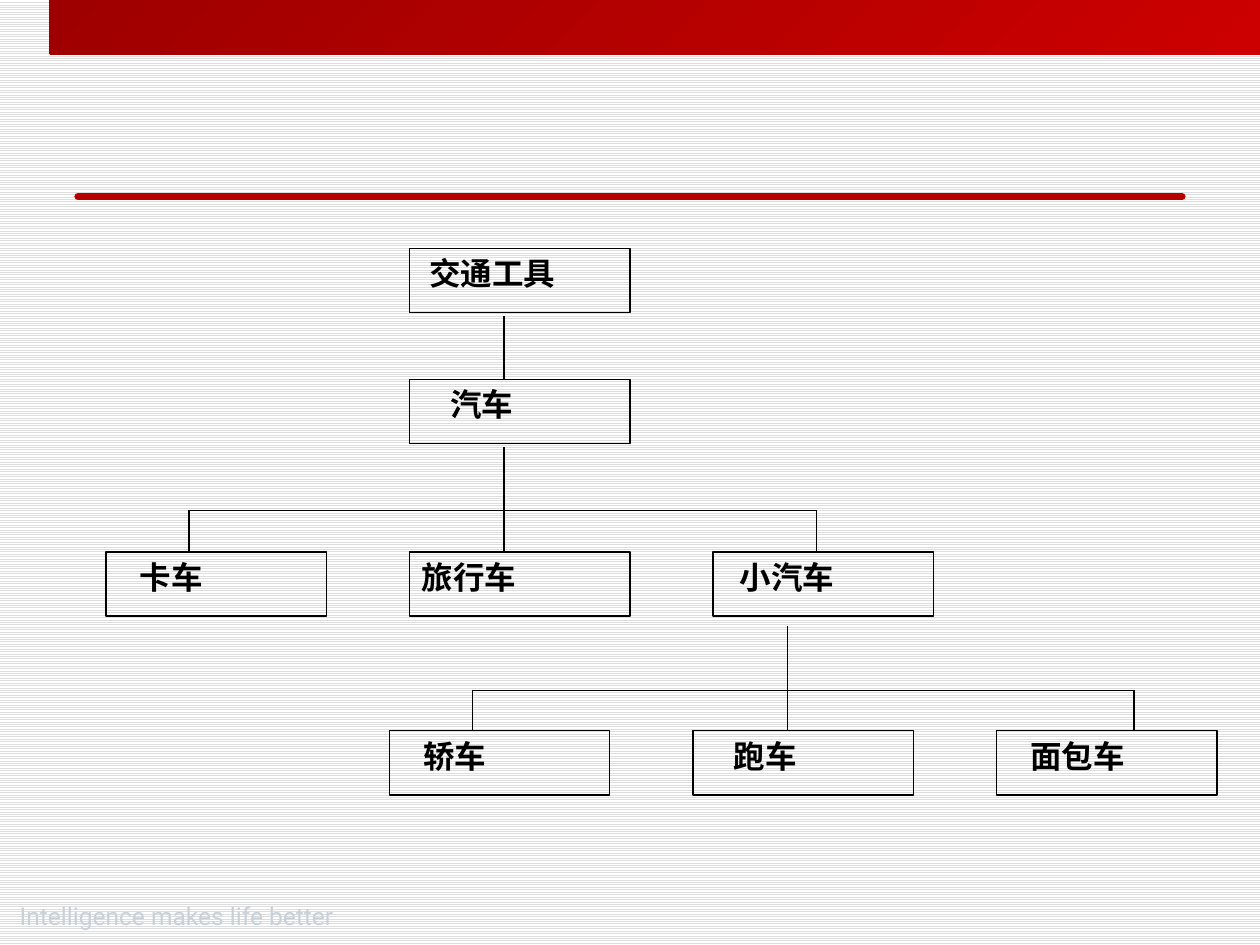
from pptx import Presentation
from pptx import util as u
from pptx.dml.color import RGBColor
from pptx.enum import dml, shapes, text
from pptx.oxml.ns import qn
from lxml import etree

BOX_W, BOX_H, COL_STEP = 1.75, 0.51, 2.41
FIRST_LEFT, SECOND_LEFT = 0.84, 3.09   # left edge of each three-box row
INSET, INDENT = 0.1, 0.056             # box margin, one indent step

# label, row start, column, top, indent steps
BOXES = [
    ("交通工具", FIRST_LEFT, 1, 1.97, 1),
    ("汽车", FIRST_LEFT, 1, 3.01, 4),
    ("卡车", FIRST_LEFT, 0, 4.38, 3),
    ("旅行车", FIRST_LEFT, 1, 4.38, 0),
    ("小汽车", FIRST_LEFT, 2, 4.38, 2),
    ("轿车", SECOND_LEFT, 0, 5.8, 3),
    ("跑车", SECOND_LEFT, 1, 5.8, 4),
    ("面包车", SECOND_LEFT, 2, 5.8, 3),
]
# stem top, bar height, branch bottom, stem x, branch xs
BRANCHES = [
    (3.55, 4.05, 4.38, 4, (1.5, 4, 6.48)),
    (4.97, 5.48, 5.8, 6.25, (3.75, 6.25, 9)),
]


def color(hex_value):
    return RGBColor.from_string(hex_value)


def add_line(s, x1, y1, x2, y2, hex_value="000000", width=0.75):
    line = s.shapes.add_connector(shapes.MSO_CONNECTOR.STRAIGHT,
                                  *map(u.Inches, (x1, y1, x2, y2)))
    line.line.color.rgb = color(hex_value)
    line.line.width = u.Pt(width)
    etree.SubElement(line._element.spPr, qn("a:effectLst"))
    return line


def add_rect(s, left, top, width, height):
    sp = s.shapes.add_shape(shapes.MSO_SHAPE.RECTANGLE,
                            *map(u.Inches, (left, top, width, height)))
    sp.shadow.inherit = False
    return sp


def write(sp, words, steps, size, font, hex_value, bold=False):
    tf = sp.text_frame
    tf.word_wrap = True
    tf.vertical_anchor = text.MSO_ANCHOR.TOP
    tf.margin_left = u.Inches(INSET + steps * INDENT)
    tf.text = words
    p = tf.paragraphs[0]
    p.alignment = text.PP_ALIGN.LEFT
    r = p.runs[0]
    r.font.size, r.font.name, r.font.bold = u.Pt(size), font, bold
    r.font.color.rgb = color(hex_value)


def add_frame(s):
    """Background, top band, footer slogan and title rule."""
    fill = s.background.fill
    fill.patterned()
    fill.pattern = dml.MSO_PATTERN.LIGHT_HORIZONTAL
    fill.fore_color.rgb, fill.back_color.rgb = color("DDDDDD"), color("FFFFFF")

    band = add_rect(s, 0.39, 0, 9.61, 0.43)
    band.line.fill.background()
    band.fill.gradient()
    band.fill.gradient_angle = 315
    for stop, position, value in zip(band.fill.gradient_stops, (0, 1),
                                     ("9E0000", "CC0000")):
        stop.position, stop.color.rgb = position, color(value)

    slogan = s.shapes.add_textbox(*map(u.Inches, (0, 7.1, 2.81, 0.4)))
    write(slogan, "Intelligence makes life better", 1, 14, "Roboto", "C8D1DA")
    slogan.text_frame.word_wrap = False

    rule = add_line(s, 0.62, 1.56, 9.38, 1.56, "B90000", 4.25)
    rule.line._ln.set("cap", "rnd")


def add_tree(s):
    for label, start, column, top, steps in BOXES:
        box = add_rect(s, start + column * COL_STEP, top, BOX_W, BOX_H)
        box.fill.background()
        box.line.color.rgb = color("000000")
        box.line.width = u.Pt(0.75)
        write(box, label, steps, 18, "Arial", "000000", True)

    add_line(s, 4, 2.51, 4, 3.01)
    for top, bar, bottom, stem, ends in BRANCHES:
        add_line(s, stem, top, stem, bar)
        add_line(s, ends[0], bar, ends[-1], bar)
        for x in ends:
            add_line(s, x, bar, x, bottom)


def main():
    prs = Presentation()
    prs.slide_width, prs.slide_height = u.Inches(10), u.Inches(7.5)
    s = prs.slides.add_slide(prs.slide_layouts[6])
    add_frame(s)
    add_tree(s)
    prs.save("out.pptx")


if __name__ == "__main__":
    main()
